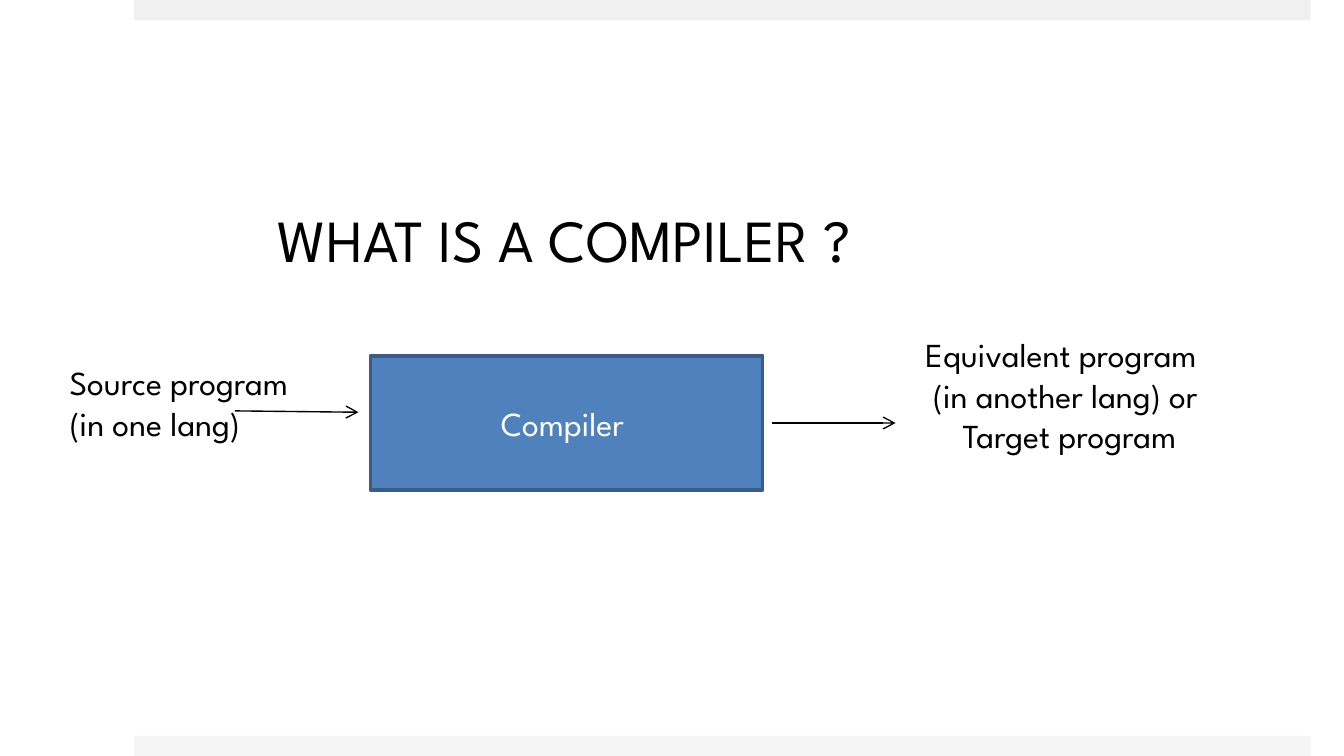
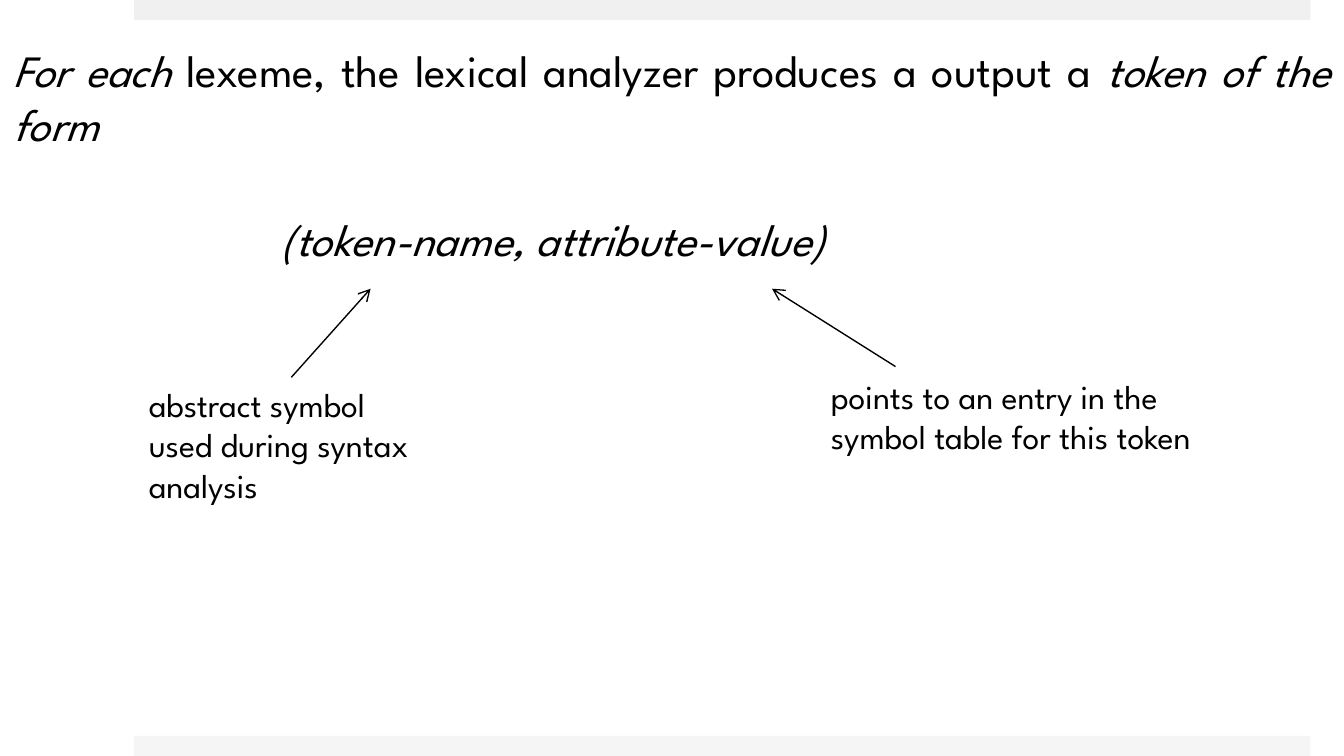
from dataclasses import dataclass
from lxml.etree import SubElement
from pptx import Presentation
from pptx.dml.color import RGBColor as Rgb
from pptx.enum.shapes import MSO_CONNECTOR as Link, MSO_SHAPE as Kind
from pptx.enum.text import MSO_ANCHOR as Anchor, PP_ALIGN as Align
from pptx.oxml.ns import qn
from pptx.util import Pt

PX = 9144


@dataclass(frozen=True)
class Theme:
    font: str = "League Spartan"
    ink: str = "000000"
    pale: str = "FFFFFF"
    top: str = "F1F0F0"
    foot: str = "F5F5F5"
    box: str = "4F81BD"
    edge: str = "385D8A"
    title: int = 32
    lead: int = 24
    body: int = 18
    rule: float = 0.75
    frame: int = 2


look = Theme()


def write(slide, text, at, size=look.body, color=look.ink, align=Align.LEFT,
          anchor=Anchor.TOP, space=None, fill=None, line=None):
    area = [n * PX for n in at]
    if fill:
        shape = slide.shapes.add_shape(Kind.RECTANGLE, *area)
        shape.shadow.inherit = False
        shape.fill.solid()
        shape.fill.fore_color.rgb = Rgb.from_string(fill)
        if line:
            shape.line.color.rgb = Rgb.from_string(line)
            shape.line.width = Pt(look.frame)
        else:
            shape.line.fill.background()
    else:
        shape = slide.shapes.add_textbox(*area)
    frame = shape.text_frame
    frame.word_wrap = True
    frame.vertical_anchor = anchor
    for i, row in enumerate(text.split("\n") if text else []):
        para = frame.add_paragraph() if i else frame.paragraphs[0]
        para.alignment = align
        para.line_spacing = space
        for j, part in enumerate(row.split("*")):
            if part:
                run = para.add_run()
                run.text = part
                run.font.name = look.font
                run.font.size = Pt(size)
                run.font.italic = j % 2 == 1
                run.font.color.rgb = Rgb.from_string(color)


def arrow(slide, *ends):
    link = slide.shapes.add_connector(Link.STRAIGHT, *[n * PX for n in ends])
    link.line.color.rgb = Rgb.from_string(look.ink)
    link.line.width = Pt(look.rule)
    props = link.line._get_or_add_ln()
    SubElement(props, qn("a:tailEnd"), type="arrow")
    SubElement(link._element.spPr, qn("a:effectLst"))


deck = Presentation()
deck.slide_width, deck.slide_height = 1001 * PX, 563 * PX
blank = deck.slide_layouts[6]
flow, token = [deck.slides.add_slide(blank) for _ in range(2)]

for slide in (flow, token):
    for y, shade in ((0, look.top), (548, look.foot)):
        write(slide, "", (100, y, 876, 15), fill=shade)

write(flow, "WHAT IS A COMPILER ?", (197, 134, 583, 92), size=look.title,
      anchor=Anchor.MIDDLE, space=0.97)
write(flow, "Compiler ", (276, 265, 292, 100), color=look.pale,
      align=Align.CENTER, anchor=Anchor.MIDDLE, fill=look.box, line=look.edge)
write(flow, "Source program\n(in one lang)", (42, 265, 183, 100))
write(flow, "Equivalent program \n(in another lang) or\n Target program",
      (677, 244, 233, 160), align=Align.CENTER)
arrow(flow, 175, 306, 267, 307)
arrow(flow, 575, 315, 667, 315)

write(token, "*For each *lexeme, the lexical analyzer produces a output a "
      "*token of the form*", (0, 27, 1001, 66), size=look.lead,
      align=Align.JUSTIFY)
write(token, "*(token-name, attribute-value)*", (200, 153, 801, 60),
      size=look.lead)
write(token, "abstract symbol used during syntax analysis",
      (101, 281, 233, 100))
write(token, "points to an entry in the symbol table for this token",
      (609, 275, 300, 130))
arrow(token, 217, 281, 276, 215)
arrow(token, 667, 273, 575, 215)

deck.save("out.pptx")
